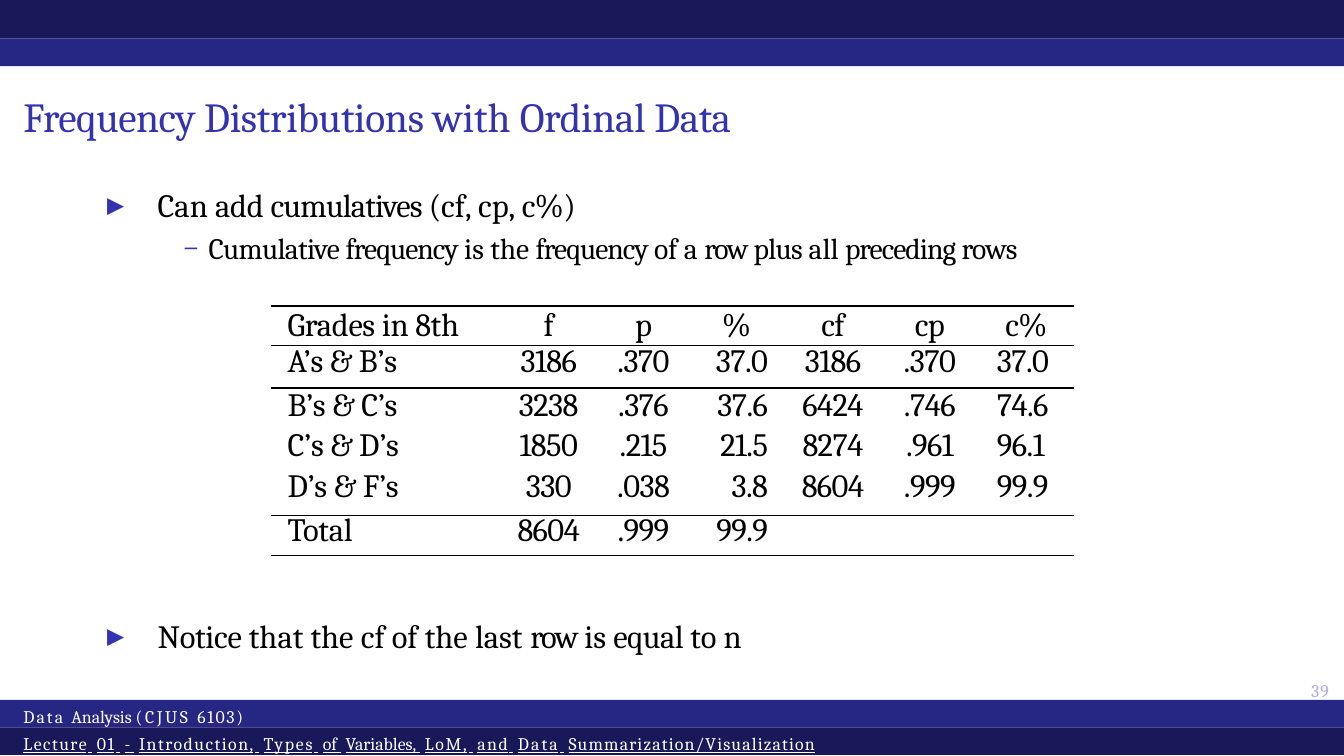
from lxml import etree
from pptx import Presentation
from pptx.dml.color import RGBColor
from pptx.enum.shapes import MSO_CONNECTOR, MSO_SHAPE
from pptx.enum.text import MSO_ANCHOR, MSO_AUTO_SIZE, PP_ALIGN
from pptx.oxml.ns import qn
from pptx.util import Cm, Pt

RECT, STRAIGHT = MSO_SHAPE.RECTANGLE, MSO_CONNECTOR.STRAIGHT
TOP, NO_FIT = MSO_ANCHOR.TOP, MSO_AUTO_SIZE.NONE
LEFT, CENTER, RIGHT = PP_ALIGN.LEFT, PP_ALIGN.CENTER, PP_ALIGN.RIGHT

NAVY = RGBColor(0x19, 0x19, 0x59)
INDIGO = RGBColor(0x26, 0x26, 0x85)
BLUE = RGBColor(0x33, 0x33, 0xB2)
LILAC = RGBColor(0xAD, 0xAD, 0xE0)
BLACK = RGBColor(0, 0, 0)
WHITE = RGBColor(0xFF, 0xFF, 0xFF)

WIDTH, HEIGHT = 16.03, 9.02
NO_GRID_STYLE = "{2D5ABB26-0587-4C30-8999-92F81FD0307C}"

# Runs are (text, letter spacing in points).
TITLE = [("Frequency ", -0.2), ("Distributions ", -0.1), ("with ", 0),
         ("Ordinal ", -0.1), ("Data", -0.2)]
CUMULATIVES = [("Can ", 0), ("add ", -0.1), ("cumulatives ", -0.3),
               ("(cf, cp, ", 0), ("c%)", -0.2)]
DEFINITION = [("Cumulative ", -0.2), ("frequency ", -0.3), ("is the ", 0),
              ("frequency ", -0.3), ("of a ", 0), ("row ", -0.4), ("plus ", -0.2),
              ("all ", 0), ("preceding ", -0.3), ("rows", -0.2)]
NOTICE = [("Notice ", -0.1), ("that the cf of the last ", 0), ("row ", -0.5),
          ("is ", 0), ("equal ", -0.2), ("to ", 0), ("n", -0.5)]
COURSE = [("Data ", 0.7), ("Analysis ", 0), ("(CJUS ", 0.9), ("6103)", 0.6)]
LECTURE = [("Lecture", 0.5), ("01", 0.6), ("-", 0), ("Introduction,", 0.5),
           ("Types", 0.6), ("of", 0), ("Variables,", 0), ("LoM,", 0.6),
           ("and", 0.5), ("Data", 0.7), ("Summarization/Visualization", 0.4)]

GRADES = [
    ("Grades in 8th", "f", "p", "%", "cf", "cp", "c%"),
    ("A’s & B’s", "3186", ".370", "37.0", "3186", ".370", "37.0"),
    ("B’s & C’s", "3238", ".376", "37.6", "6424", ".746", "74.6"),
    ("C’s & D’s", "1850", ".215", "21.5", "8274", ".961", "96.1"),
    ("D’s & F’s", "330", ".038", "3.8", "8604", ".999", "99.9"),
    ("Total", "8604", ".999", "99.9", "", "", ""),
]
COL_WIDTHS = (2.72, 1.19, 1.12, 1.12, 1.19, 1.12, 1.12)
COL_ALIGNS = (LEFT, CENTER, CENTER, RIGHT, CENTER, CENTER, LEFT)
COL_LEFT_INSETS = (0.2, 0, 0, 0, 0, 0, 0.2)
COL_RIGHT_INSETS = (0, 0, 0.05, 0.22, 0.08, 0.08, 0)
ROW_HEIGHTS = (0.56, 0.51, 0.48, 0.48, 0.48, 0.56)
ROW_TOP_INSETS = (0.1, 0, 0.01, 0.01, 0.01, 0.04)
ROW_LINE_PTS = (None, 11.9, 12.2, 12.2, 12.4, None)
RULED_ROWS = (0, 1, 5)


class SlideBuilder:
    def __init__(self, prs, font="Cambria"):
        self.font = font
        self.slide = prs.slides.add_slide(prs.slide_layouts[5])
        self.shapes = self.slide.shapes

    def runs(self, p, runs, size, color, underline=None):
        for text, spacing in runs:
            r = p.add_run()
            r.text = text
            r.font.name, r.font.size = self.font, Pt(size)
            r.font.color.rgb = color
            r.font.underline = underline
            if spacing:
                r.font._element.set("spc", str(round(spacing * 100)))

    def frame(self, sp, inset_left, inset_top):
        tf = sp.text_frame
        tf.word_wrap, tf.auto_size, tf.vertical_anchor = True, NO_FIT, TOP
        tf.margin_left, tf.margin_top = Cm(inset_left), Cm(inset_top)
        tf.margin_right = tf.margin_bottom = 0
        return tf

    def title(self, x, y, w, h, runs):
        sp = self.shapes.title
        sp.left, sp.top, sp.width, sp.height = Cm(x), Cm(y), Cm(w), Cm(h)
        p = self.frame(sp, 0.03, 0.1).paragraphs[0]
        p.alignment = LEFT
        self.runs(p, runs, 14, BLUE)

    def text_box(self, x, y, w, h, inset_left=0, inset_top=0):
        sp = self.shapes.add_textbox(Cm(x), Cm(y), Cm(w), Cm(h))
        return self.frame(sp, inset_left, inset_top)

    def bullet(self, p, char, font, percent, margin, hanging):
        pPr = p._p.get_or_add_pPr()
        pPr.set("marL", str(Cm(margin)))
        pPr.set("indent", str(-Cm(hanging)))
        color = etree.SubElement(pPr, qn("a:buClr"))
        etree.SubElement(color, qn("a:srgbClr"), val=str(BLUE))
        etree.SubElement(pPr, qn("a:buSzPct"), val=str(percent * 1000))
        etree.SubElement(pPr, qn("a:buFont"), typeface=font)
        etree.SubElement(pPr, qn("a:buChar"), char=char)

    def main_point(self, p, runs):
        self.bullet(p, "▶", "DejaVu Sans Mono", 87, 0.66, 0.6)
        self.runs(p, runs, 11, BLACK)

    def sub_point(self, p, runs):
        self.bullet(p, "–", self.font, 100, 1.27, 0.3)
        p.space_before = Pt(1.8)
        self.runs(p, runs, 10, BLACK)

    def bar(self, y, h, color):
        sp = self.shapes.add_shape(RECT, 0, Cm(y), Cm(WIDTH), Cm(h))
        sp.shadow.inherit = False
        sp.fill.solid()
        sp.fill.fore_color.rgb = color
        sp.line.fill.background()

    def rule(self, x, y, w):
        line = self.shapes.add_connector(STRAIGHT, Cm(x), Cm(y), Cm(x + w), Cm(y))
        line.line.color.rgb, line.line.width = BLACK, Pt(0.4)
        etree.SubElement(line._element.spPr, qn("a:effectLst"))

    def bottom_border(self, cell):
        tcPr = cell._tc.get_or_add_tcPr()
        ln = etree.Element(qn("a:lnB"), w=str(Pt(0.5)))
        fill = etree.SubElement(ln, qn("a:solidFill"))
        etree.SubElement(fill, qn("a:srgbClr"), val=str(BLACK))
        tcPr.insert(0, ln)

    def cell(self, cell, text, row, col):
        cell.fill.background()
        cell.margin_left = Cm(COL_LEFT_INSETS[col])
        cell.margin_right = Cm(COL_RIGHT_INSETS[col])
        cell.margin_top, cell.margin_bottom = Cm(ROW_TOP_INSETS[row]), 0
        if text in ("%", "c%"):
            cell.margin_left += Cm(0.1)
            cell.margin_right += Cm(0.2)
        p = cell.text_frame.paragraphs[0]
        p.alignment = COL_ALIGNS[col]
        if text:
            if ROW_LINE_PTS[row]:
                p.line_spacing = Pt(ROW_LINE_PTS[row])
            spacing = -0.1 if col == 0 else -0.2 if len(text) > 1 else 0
            self.runs(p, [(text, spacing)], 11, BLACK)
        else:
            etree.SubElement(p._p, qn("a:endParaRPr"), sz="1100")
        if row in RULED_ROWS:
            self.bottom_border(cell)

    def table(self, x, y, rows):
        frame = self.shapes.add_table(len(rows), len(rows[0]), Cm(x), Cm(y),
                                      Cm(sum(COL_WIDTHS)), Cm(sum(ROW_HEIGHTS)))
        table = frame.table
        table.first_row = table.horz_banding = False
        table._tbl.tblPr.find(qn("a:tableStyleId")).text = NO_GRID_STYLE
        for column, width in zip(table.columns, COL_WIDTHS):
            column.width = Cm(width)
        for i, values in enumerate(rows):
            table.rows[i].height = Cm(ROW_HEIGHTS[i])
            for j, text in enumerate(values):
                self.cell(table.cell(i, j), text, i, j)


def main():
    prs = Presentation()
    prs.slide_width, prs.slide_height = Cm(WIDTH), Cm(HEIGHT)
    s = SlideBuilder(prs)

    for y, h, color in ((0, 0.46, NAVY), (0.46, 0.33, INDIGO),
                        (8.35, 0.33, INDIGO), (8.68, 0.33, NAVY)):
        s.bar(y, h, color)
    s.title(0.25, 0.99, 14.55, 0.69, TITLE)

    points = s.text_box(1.22, 1.93, 12.29, 1.09, inset_top=0.28)
    s.main_point(points.paragraphs[0], CUMULATIVES)
    s.sub_point(points.add_paragraph(), DEFINITION)

    for y in (3.65, 6.15):
        s.rule(3.23, y, sum(COL_WIDTHS))
    s.table(3.23, 3.56, GRADES)

    notice = s.text_box(1.22, 7.16, 8.48, 0.53, inset_top=0.19)
    s.main_point(notice.paragraphs[0], NOTICE)

    page = s.text_box(15.54, 8, 0.49, 0.38, 0.1, 0.11)
    s.runs(page.paragraphs[0], [("39", 0.3)], 6, LILAC)

    footer = s.text_box(0.25, 8.31, 10.49, 0.71, 0.03, 0.11)
    s.runs(footer.paragraphs[0], COURSE, 6, WHITE)
    p = footer.add_paragraph()
    p.space_before = Pt(2.1)
    for i, word in enumerate(LECTURE):
        gap = [(" ", 1.6)] if i else []
        s.runs(p, gap + [word], 6, WHITE, underline=True)

    prs.save("out.pptx")


if __name__ == "__main__":
    main()
